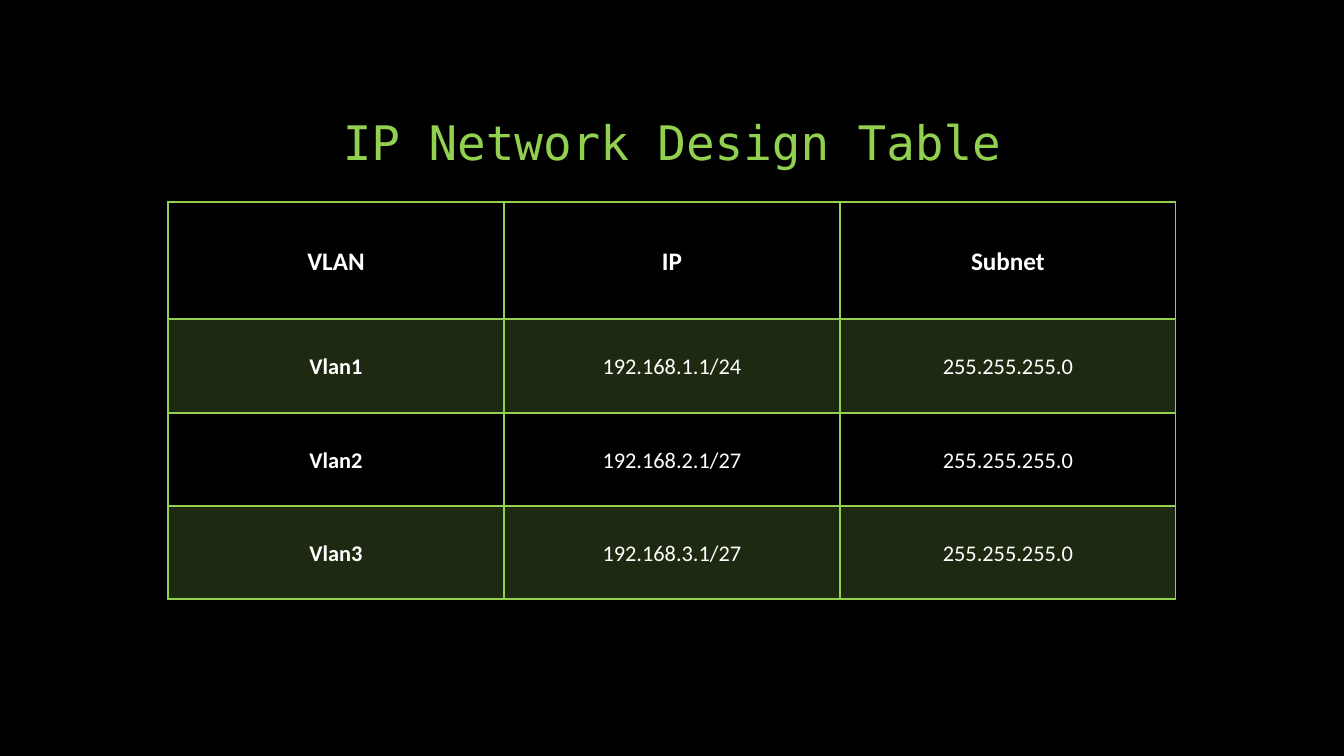
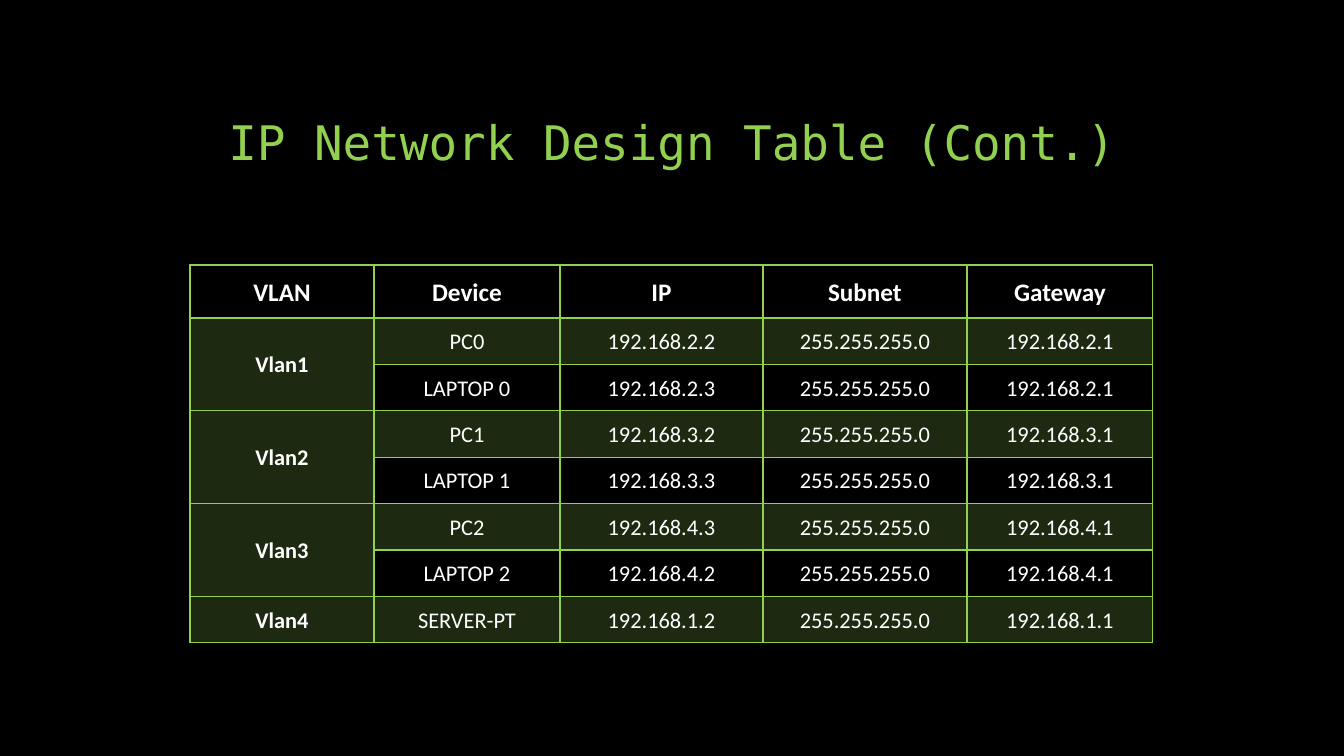
from lxml import etree
from pptx import Presentation
from pptx.dml.color import RGBColor
from pptx.enum.text import MSO_ANCHOR, MSO_AUTO_SIZE, PP_ALIGN
from pptx.oxml.ns import qn
from pptx.util import Emu, Pt

CENTER = PP_ALIGN.CENTER
MIDDLE = MSO_ANCHOR.MIDDLE
BOTTOM = MSO_ANCHOR.BOTTOM
NO_FIT = MSO_AUTO_SIZE.NONE

COLORS = {"back": "000000", "accent": "92D050", "text": "FFFFFF"}
TITLE_FONT = "DejaVu Sans Mono"
BODY_FONT = "Calibri"
WIDTH, HEIGHT = 1344, 756
BAND_ALPHA = 20000

TABLES = [
    {
        "title": "IP Network Design Table",
        "left": 168, "top": 202,
        "cols": [336] * 3,
        "rows": [117, 94, 93, 93],
        "header_rule": 2,
        "data": [
            ["VLAN", "IP", "Subnet"],
            ["Vlan1", "192.168.1.1/24", "255.255.255.0"],
            ["Vlan2", "192.168.2.1/27", "255.255.255.0"],
            ["Vlan3", "192.168.3.1/27", "255.255.255.0"],
        ],
    },
    {
        "title": "IP Network Design Table (Cont.)",
        "left": 190, "top": 265,
        "cols": [184, 186, 203, 204, 186],
        "rows": [53] + [325 / 7] * 7,
        "header_rule": 1,
        "data": [
            ["VLAN", "Device", "IP", "Subnet", "Gateway"],
            ["Vlan1", "PC0", "192.168.2.2", "255.255.255.0", "192.168.2.1"],
            ["", "LAPTOP 0", "192.168.2.3", "255.255.255.0", "192.168.2.1"],
            ["Vlan2", "PC1", "192.168.3.2", "255.255.255.0", "192.168.3.1"],
            ["", "LAPTOP 1", "192.168.3.3", "255.255.255.0", "192.168.3.1"],
            ["Vlan3", "PC2", "192.168.4.3", "255.255.255.0", "192.168.4.1"],
            ["", "LAPTOP 2", "192.168.4.2", "255.255.255.0", "192.168.4.1"],
            ["Vlan4", "SERVER-PT", "192.168.1.2", "255.255.255.0", "192.168.1.1"],
        ],
    },
]


def px(n):
    return Emu(round(n * 12192000 / WIDTH))


def format_text(p, text, font, size, color, bold, spacing):
    p.text = text
    p.alignment = CENTER
    p.line_spacing = spacing
    for r in p.runs:
        r.font.name = font
        r.font.size = Pt(size)
        r.font.bold = bold
        r.font.color.rgb = RGBColor.from_string(COLORS[color])


prs = Presentation()
prs.slide_width, prs.slide_height = px(WIDTH), px(HEIGHT)
back = prs.slide_master.background.fill
back.solid()
back.fore_color.rgb = RGBColor.from_string(COLORS["back"])

for spec_table in TABLES:
    s = prs.slides.add_slide(prs.slide_layouts[5])
    title = s.shapes.title
    title.left, title.top = px(168), px(50)
    title.width, title.height = px(1008), px(126)
    tf = title.text_frame
    tf.auto_size = NO_FIT
    tf.vertical_anchor = BOTTOM
    format_text(tf.paragraphs[0], spec_table["title"], TITLE_FONT, 34, "accent", False, 0.9)

    cols, rows, data = spec_table["cols"], spec_table["rows"], spec_table["data"]
    table = s.shapes.add_table(
        len(rows), len(cols), px(spec_table["left"]), px(spec_table["top"]),
        px(sum(cols)), px(sum(rows))).table
    table.horz_banding = False
    for col, width in zip(table.columns, cols):
        col.width = px(width)
    for row, height in zip(table.rows, rows):
        row.height = px(height)

    for i, values in enumerate(data):
        for j, text in enumerate(values):
            cell = table.cell(i, j)
            cell.vertical_anchor = MIDDLE
            cell.margin_left = cell.margin_right = px(7)
            cell.margin_top = cell.margin_bottom = 0

            tcPr = cell._tc.get_or_add_tcPr()
            for side in ("lnL", "lnR", "lnT", "lnB"):
                under_header = (i, side) in ((0, "lnB"), (1, "lnT"))
                weight = spec_table["header_rule"] if under_header else 1
                ln = etree.SubElement(tcPr, qn(f"a:{side}"), w=str(Pt(weight)))
                line_fill = etree.SubElement(ln, qn("a:solidFill"))
                etree.SubElement(line_fill, qn("a:srgbClr"), val=COLORS["accent"])

            if i % 2:
                cell.fill.solid()
                cell.fill.fore_color.rgb = RGBColor.from_string(COLORS["accent"])
                color = tcPr.find(qn("a:solidFill")).find(qn("a:srgbClr"))
                etree.SubElement(color, qn("a:alpha"), val=str(BAND_ALPHA))
            else:
                cell.fill.background()

            if text:
                p = cell.text_frame.paragraphs[0]
                format_text(p, text, BODY_FONT, 16 if i else 18, "text",
                            i == 0 or j == 0, 1.07)
                p.space_after = Pt(8)
            else:
                table.cell(i - 1, j).merge(cell)

prs.save("out.pptx")
